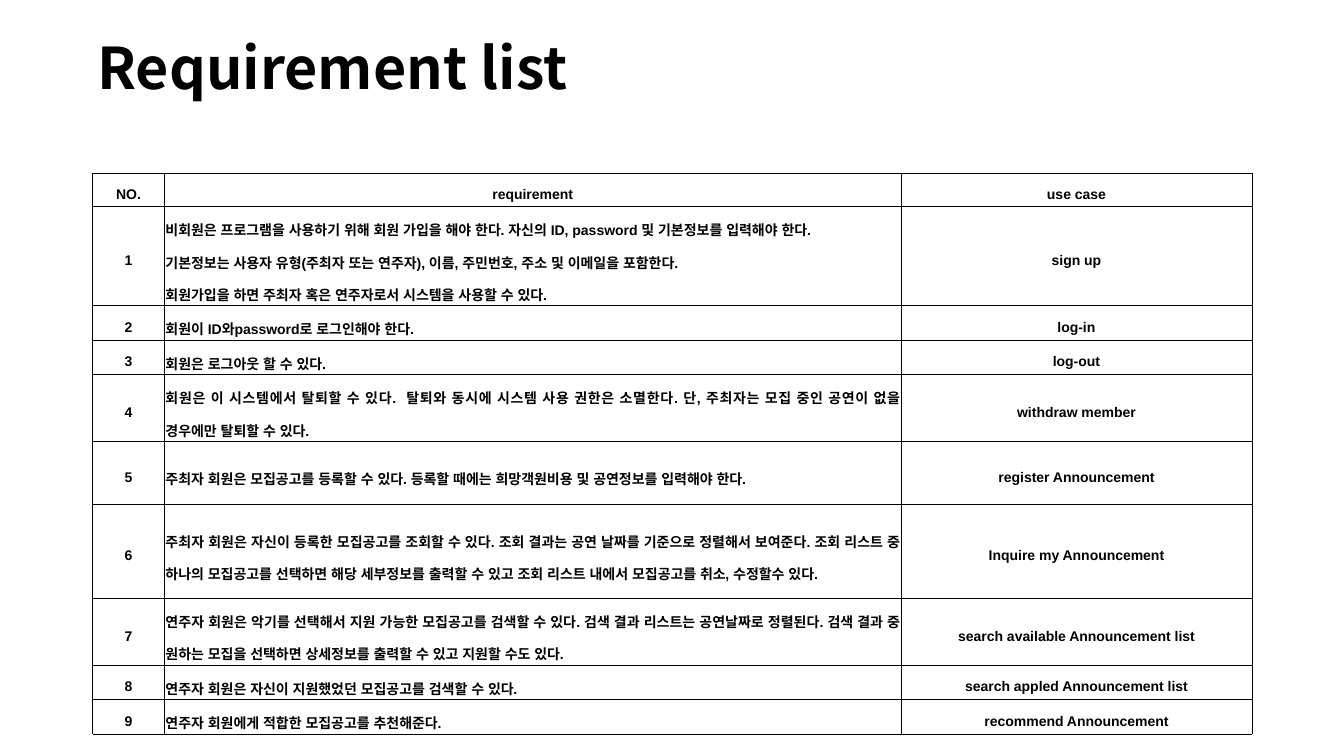
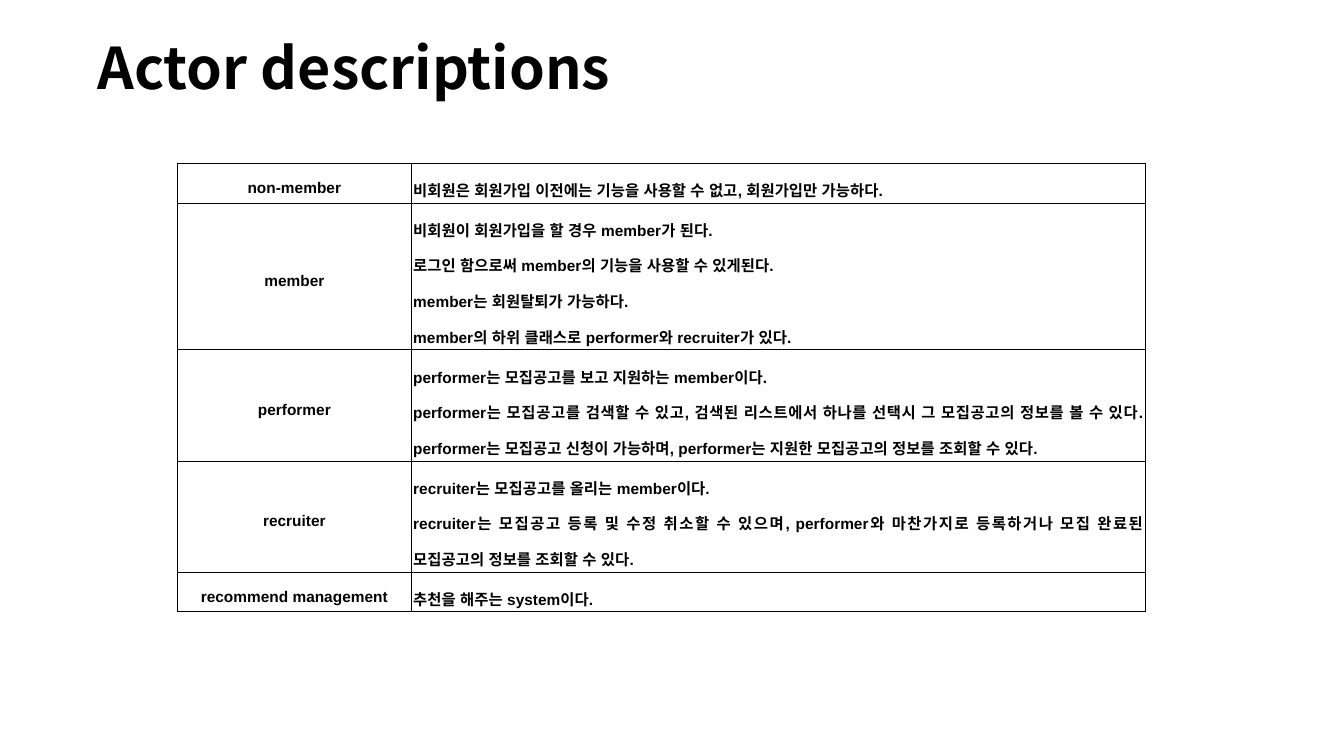
import pptx
import pptx.util
import pptx.dml.color
import pptx.enum.lang
import pptx.enum.text
import pptx.oxml.ns
import lxml.etree

Pt = pptx.util.Pt
ALIGN = pptx.enum.text.PP_ALIGN
ANCHOR = pptx.enum.text.MSO_ANCHOR

# Content: one tuple per row, a list holds the paragraphs of a cell
REQUIREMENTS = [
    ("NO.", "requirement", "use case"),
    ("1", ["비회원은 프로그램을 사용하기 위해 회원 가입을 해야 한다. 자신의 ID, password 및 기본정보를 입력해야 한다.",
           "기본정보는 사용자 유형(주최자 또는 연주자), 이름, 주민번호, 주소 및 이메일을 포함한다.",
           "회원가입을 하면 주최자 혹은 연주자로서 시스템을 사용할 수 있다."], "sign up"),
    ("2", ["회원이 ID와password로 로그인해야 한다."], "log-in"),
    ("3", ["회원은 로그아웃 할 수 있다."], "log-out"),
    ("4", ["회원은 이 시스템에서 탈퇴할 수 있다.  탈퇴와 동시에 시스템 사용 권한은 소멸한다. "
           "단, 주최자는 모집 중인 공연이 없을 경우에만 탈퇴할 수 있다."], "withdraw member"),
    ("5", ["주최자 회원은 모집공고를 등록할 수 있다. 등록할 때에는 희망객원비용 및 공연정보를 입력해야 한다."],
     "register Announcement"),
    ("6", ["주최자 회원은 자신이 등록한 모집공고를 조회할 수 있다. 조회 결과는 공연 날짜를 기준으로 정렬해서 보여준다. "
           "조회 리스트 중 하나의 모집공고를 선택하면 해당 세부정보를 출력할 수 있고 "
           "조회 리스트 내에서 모집공고를 취소, 수정할수 있다."], "Inquire my Announcement"),
    ("7", ["연주자 회원은 악기를 선택해서 지원 가능한 모집공고를 검색할 수 있다. 검색 결과 리스트는 공연날짜로 정렬된다. "
           "검색 결과 중 원하는 모집을 선택하면 상세정보를 출력할 수 있고 지원할 수도 있다."],
     "search available Announcement list"),
    ("8", ["연주자 회원은 자신이 지원했었던 모집공고를 검색할 수 있다."], "search appled Announcement list"),
    ("9", ["연주자 회원에게 적합한 모집공고를 추천해준다."], "recommend Announcement"),
]
ACTORS = [
    ("non-member", ["비회원은 회원가입 이전에는 기능을 사용할 수 없고, 회원가입만 가능하다."]),
    ("member", ["비회원이 회원가입을 할 경우 member가 된다.",
                "로그인 함으로써 member의 기능을 사용할 수 있게된다.",
                "member는 회원탈퇴가 가능하다.",
                "member의 하위 클래스로 performer와 recruiter가 있다."]),
    ("performer", ["performer는 모집공고를 보고 지원하는 member이다.",
                   "performer는 모집공고를 검색할 수 있고, 검색된 리스트에서 하나를 선택시 "
                   "그 모집공고의 정보를 볼 수 있다. performer는 모집공고 신청이 가능하며, "
                   "performer는 지원한 모집공고의 정보를 조회할 수 있다."]),
    ("recruiter", ["recruiter는 모집공고를 올리는 member이다.",
                   "recruiter는 모집공고 등록 및 수정 취소할 수 있으며, performer와 마찬가지로 "
                   "등록하거나 모집 완료된 모집공고의 정보를 조회할 수 있다."]),
    ("recommend management", ["추천을 해주는 system이다."]),
]
PAGES = [
    dict(title="Requirement list", rows=REQUIREMENTS, left=66.2, top=123.8, size=10, inset=0.8,
         widths=[51.2, 526.2, 250.6],
         heights=[23.8, 63.4, 23.8, 23.8, 41.8, 45.2, 67, 45.2, 23.8, 20.2]),
    dict(title="Actor descriptions", rows=ACTORS, left=126.8, top=116.6, size=11, inset=1.4,
         widths=[167, 524.2], heights=[16.6, 59.8, 59.8, 36.7, 12.2]),
]

# Shared style
COLORS = {"ink": "000000", "paper": "FFFFFF"}
FONTS = {"latin": "Arial", "korean": "Noto Sans CJK KR"}
TITLE_BOX = (66, 28.8, 828, 104.4)
BORDER = 0.28


def add_run(paragraph, text, size, latin):
    run = paragraph.add_run()
    run.text = text
    font = run.font
    font.size, font.bold, font.name = Pt(size), True, latin
    font.color.rgb = pptx.dml.color.RGBColor.from_string(COLORS["ink"])
    font.language_id = pptx.enum.lang.MSO_LANGUAGE_ID.KOREAN
    east_asian = lxml.etree.Element(pptx.oxml.ns.qn("a:ea"), typeface=FONTS["korean"])
    run._r.rPr.find(pptx.oxml.ns.qn("a:latin")).addnext(east_asian)


def set_margins(target, side, top):
    target.margin_left = target.margin_right = target.margin_bottom = Pt(side)
    target.margin_top = Pt(top)


def add_title(slide, text):
    title = slide.shapes.title
    title.left, title.top, title.width, title.height = map(Pt, TITLE_BOX)
    frame = title.text_frame
    frame.word_wrap = True
    frame.auto_size = pptx.enum.text.MSO_AUTO_SIZE.NONE
    frame.vertical_anchor = ANCHOR.TOP
    set_margins(frame, 3.6, 0)
    heading = frame.paragraphs[0]
    heading.alignment, heading.line_spacing = ALIGN.LEFT, 0.9
    add_run(heading, text, 41, FONTS["korean"])


def outline(cell):
    properties = cell._tc.get_or_add_tcPr()
    for side in ("a:lnL", "a:lnR", "a:lnT", "a:lnB"):
        line = lxml.etree.SubElement(properties, pptx.oxml.ns.qn(side), w=str(int(Pt(BORDER))))
        fill = lxml.etree.SubElement(line, pptx.oxml.ns.qn("a:solidFill"))
        lxml.etree.SubElement(fill, pptx.oxml.ns.qn("a:srgbClr"), val=COLORS["ink"])


def fill_cell(cell, content, size, inset):
    outline(cell)
    cell.fill.background()
    cell.vertical_anchor = ANCHOR.MIDDLE
    set_margins(cell, inset, inset)
    # Descriptions are justified, labels are centred
    is_label = isinstance(content, str)
    frame = cell.text_frame
    for index, text in enumerate([content] if is_label else content):
        paragraph = frame.add_paragraph() if index else frame.paragraphs[0]
        paragraph.alignment = ALIGN.CENTER if is_label else ALIGN.JUSTIFY
        paragraph.line_spacing = 1.6
        add_run(paragraph, text, size, FONTS["latin"])


def add_grid(slide, page):
    rows, widths, heights = page["rows"], page["widths"], page["heights"]
    grid = slide.shapes.add_table(len(rows), len(widths), Pt(page["left"]), Pt(page["top"]),
                                  Pt(sum(widths)), Pt(sum(heights))).table
    grid.first_row = grid.horz_banding = False
    for column, width in zip(grid.columns, widths):
        column.width = Pt(width)
    for row, height, contents in zip(grid.rows, heights, rows):
        row.height = Pt(height)
        for cell, content in zip(row.cells, contents):
            fill_cell(cell, content, page["size"], page["inset"])


def main():
    deck = pptx.Presentation()
    deck.slide_width, deck.slide_height = Pt(960), Pt(540)
    paper = deck.slide_master.background.fill
    paper.solid()
    paper.fore_color.rgb = pptx.dml.color.RGBColor.from_string(COLORS["paper"])
    title_only = deck.slide_layouts[5]
    for page in PAGES:
        slide = deck.slides.add_slide(title_only)
        add_title(slide, page["title"])
        add_grid(slide, page)
    deck.save("out.pptx")


if __name__ == "__main__":
    main()
